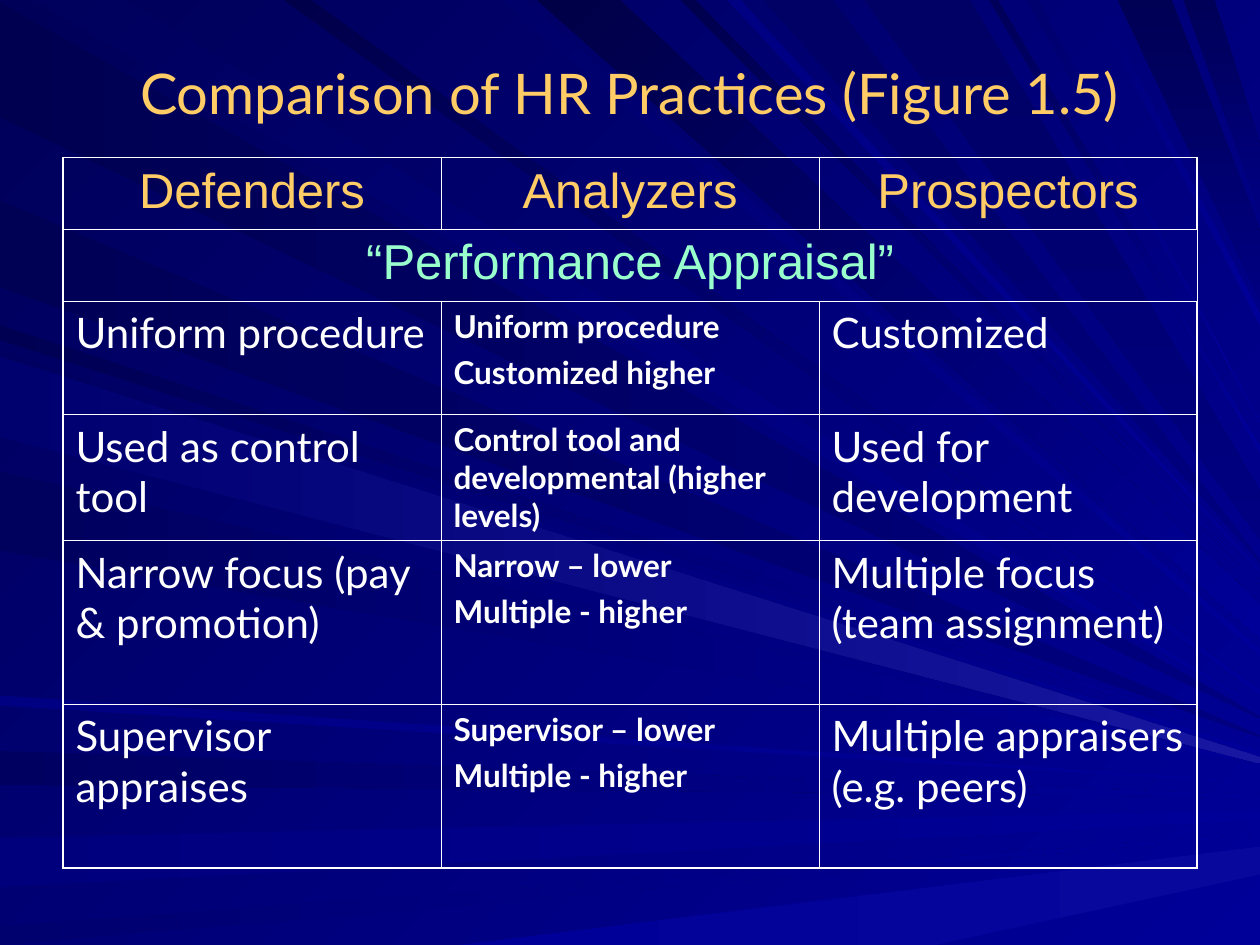
from dataclasses import dataclass
from typing import NamedTuple

from lxml.etree import SubElement
from pptx import Presentation
from pptx.dml.color import RGBColor
from pptx.enum.text import MSO_ANCHOR, MSO_AUTO_SIZE, PP_ALIGN
from pptx.oxml.ns import qn
from pptx.util import Inches, Pt

SLIDE_W, SLIDE_H = Inches(10), Inches(7.5)
GRID_W, GRID_H = 1000, 750  # grid on which the rays are plotted
WHITE, GOLD, MINT = "FFFFFF", "FFCC66", "99FFCC"
NAVY, BLUE, PALE = "000080", "000099", "1717A2"
OUTER_LINE, INNER_LINE = Pt(1.08), Pt(0.45)


class Ray(NamedTuple):
    """A beam from a stretch of one slide edge to a tip on the right edge."""
    edge: str
    near: int
    far: int
    tip: int
    start: str
    end: str = BLUE
    tip_depth: int = 1


@dataclass
class TextStyle:
    size: float
    font: str
    color: str
    bold: bool = False
    align: PP_ALIGN = PP_ALIGN.LEFT
    gap: float = 0


TITLE = TextStyle(32, "Lato", GOLD, align=PP_ALIGN.CENTER)
STRATEGY = TextStyle(28, "Arial", GOLD, align=PP_ALIGN.CENTER)
TOPIC = TextStyle(28, "Arial", MINT, align=PP_ALIGN.CENTER)
PRACTICE = TextStyle(24, "Lato", WHITE)
MIXED = TextStyle(18, "Lato", WHITE, bold=True, gap=4.5)

RAYS = [
    Ray("left", 2, 93, 569, "000051", NAVY),
    Ray("top", 26, 101, 562, "00005D"),
    Ray("left", 596, 623, 631, "000061"),
    Ray("left", 665, 704, 643, "00007D", tip_depth=8),
    Ray("left", 735, 750, 662, "00006F"),
    Ray("bottom", 364, 742, 672, BLUE, "08089C", 22),
    Ray("left", 258, 270, 588, "000053"),
    Ray("left", 159, 228, 584, "000055", NAVY),
    Ray("top", 398, 416, 515, "00006B", tip_depth=6),
    Ray("top", 426, 492, 479, "000047", tip_depth=28),
    Ray("top", 540, 552, 462, "00004F"),
    Ray("top", 606, 661, 445, "000065", NAVY),
    Ray("top", 887, 930, 183, "000055", NAVY, 54),
    Ray("top", 939, 964, 114, "000059", NAVY, 53),
    Ray("left", 278, 342, 596, "000061", tip_depth=6),
    Ray("left", 374, 437, 605, "00005D"),
    Ray("left", 552, 560, 621, "000082"),
    Ray("top", 225, 247, 547, "00004A", tip_depth=5),
    Ray("top", 577, 588, 453, "000082"),
    Ray("top", 686, 770, 390, "000065", NAVY, 38),
    Ray("top", 785, 792, 354, "000058", tip_depth=6),
    Ray("top", 815, 824, 335, "00006F"),
    Ray("top", 865, 872, 249, "000079", tip_depth=9),
    Ray("left", 283, 347, 601, "00006F", PALE, 5),
]

STRATEGIES = ["Defenders", "Analyzers", "Prospectors"]
PRACTICES = [
    ["Uniform procedure", "Uniform procedure\nCustomized higher", "Customized"],
    ["Used as control tool", "Control tool and developmental (higher levels)", "Used for development"],
    ["Narrow focus (pay & promotion)", "Narrow – lower\nMultiple - higher", "Multiple focus (team assignment)"],
    ["Supervisor appraises", "Supervisor – lower\nMultiple - higher", "Multiple appraisers (e.g. peers)"],
]
ROW_HEIGHTS = [0.57, 0.57, 0.9, 1, 1.3, 1.3]


def rgb(value: str) -> RGBColor:
    return RGBColor.from_string(value)


def set_all(target, values: dict) -> None:
    for name, value in values.items():
        setattr(target, name, value)


def paint(fill, start: str, end: str, angle: int) -> None:
    fill.gradient()
    fill.gradient_angle = -angle % 360
    for stop, color in zip(fill.gradient_stops, (start, end)):
        stop.color.rgb = rgb(color)


def draw_ray(shapes, ray: Ray) -> None:
    if ray.edge == "top":
        first, second = (ray.near, 0), (ray.far, 0)
        angle = 90 if ray.end == NAVY else 45
    else:
        first, second = [(0, place) if ray.edge == "left" else (place, GRID_H)
                         for place in (ray.far, ray.near)]
        angle = 0
    builder = shapes.build_freeform(*first, scale=SLIDE_W / GRID_W)
    builder.add_line_segments([second, (GRID_W, ray.tip), (GRID_W, ray.tip + ray.tip_depth)])
    beam = builder.convert_to_shape()
    beam.shadow.inherit = False
    beam.line.fill.background()
    paint(beam.fill, ray.start, ray.end, angle)


def write(frame, text: str, style: TextStyle) -> None:
    frame.text = text
    for index, paragraph in enumerate(frame.paragraphs):
        set_all(paragraph, {"alignment": style.align, "space_before": Pt(style.gap if index else 0)})
        for run in paragraph.runs:
            set_all(run.font, {"size": Pt(style.size), "name": style.font, "bold": style.bold})
            run.font.color.rgb = rgb(style.color)


def rule_cell(cell, outer_sides: dict) -> None:
    properties = cell._tc.get_or_add_tcPr()
    for side, is_outer in outer_sides.items():
        width = OUTER_LINE if is_outer else INNER_LINE
        line = SubElement(properties, qn(f"a:ln{side}"), w=str(int(width)))
        SubElement(SubElement(line, qn("a:solidFill")), qn("a:srgbClr"), val=WHITE)
    cell.fill.background()


def draw_comparison(shapes) -> None:
    rows, columns = len(ROW_HEIGHTS), len(STRATEGIES)
    table = shapes.add_table(rows, columns, int(SLIDE_W * 0.05), int(SLIDE_H / 6),
                             int(SLIDE_W * 0.9), Inches(sum(ROW_HEIGHTS))).table
    set_all(table, {"first_row": False, "horz_banding": False})
    for row, height in zip(table.rows, ROW_HEIGHTS):
        row.height = Inches(height)
    for r in range(rows):
        for c in range(columns):
            rule_cell(table.cell(r, c), {"L": c == 0, "R": c == columns - 1,
                                         "T": r == 0, "B": r == rows - 1})
    # Strategy names and the topic row
    for c, strategy in enumerate(STRATEGIES):
        write(table.cell(0, c).text_frame, strategy, STRATEGY)
    topic = table.cell(1, 0)
    topic.merge(table.cell(1, columns - 1))
    write(topic.text_frame, "“Performance Appraisal”", TOPIC)
    # Practices, with the mixed approach in the middle column
    for r, practices in enumerate(PRACTICES, start=2):
        for c, practice in enumerate(practices):
            write(table.cell(r, c).text_frame, practice, MIXED if c == 1 else PRACTICE)


def main() -> None:
    deck = Presentation()
    set_all(deck, {"slide_width": SLIDE_W, "slide_height": SLIDE_H})
    slide = deck.slides.add_slide(deck.slide_layouts[5])

    # Background with rays
    paint(slide.background.fill, "000058", BLUE, 45)
    for ray in RAYS:
        draw_ray(slide.shapes, ray)

    # Title, brought in front of the rays
    heading = slide.shapes.title
    slide.shapes._spTree.append(heading._element)
    set_all(heading, {"left": int(SLIDE_W * 0.05), "top": int(SLIDE_H * 0.04),
                      "width": int(SLIDE_W * 0.9), "height": Inches(0.86)})
    set_all(heading.text_frame, {"vertical_anchor": MSO_ANCHOR.MIDDLE, "word_wrap": True,
                                 "auto_size": MSO_AUTO_SIZE.NONE})
    write(heading.text_frame, "Comparison of HR Practices (Figure 1.5)", TITLE)

    draw_comparison(slide.shapes)
    deck.save("out.pptx")


if __name__ == "__main__":
    main()
